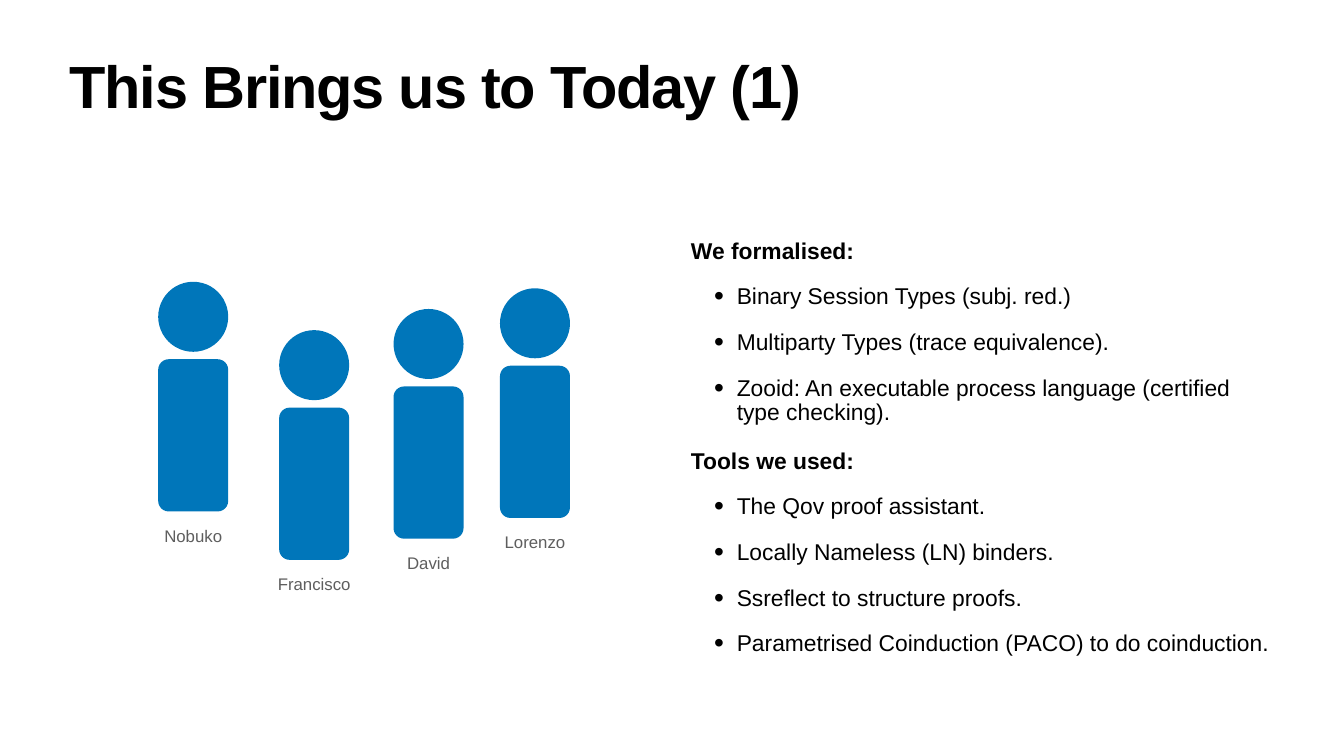
import pptx
import pptx.util
import pptx.dml.color
import pptx.enum.shapes
import pptx.enum.text
import pptx.oxml.ns
import lxml.etree

WIDTH, HEIGHT = pptx.util.Inches(26.67), pptx.util.Inches(15)
FONT = "Arial"
COLOURS = {"text": "000000", "figure": "0076BA", "label": "5E5E5E"}
ANCHOR = pptx.enum.text.MSO_ANCHOR
ALIGN = pptx.enum.text.PP_ALIGN
SHAPE = pptx.enum.shapes.MSO_SHAPE
TITLE_BOX = (4.95, 7.87, 90.1, 10.47)
SUMMARY_BOX = (51.22, 31, 43.83, 60.2)
FIGURE_SIZE = (5.21, 35.33)
PEOPLE = [
    ("Nobuko", 11.77, 37.27),
    ("Francisco", 20.77, 43.67),
    ("David", 29.28, 40.87),
    ("Lorenzo", 37.2, 38.13),
]
SECTIONS = [
    ("We formalised:", [
        "Binary Session Types (subj. red.)",
        "Multiparty Types (trace equivalence).",
        "Zooid: An executable process language (certified type checking).",
    ]),
    ("Tools we used:", [
        "The Qov proof assistant.",
        "Locally Nameless (LN) binders.",
        "Ssreflect to structure proofs.",
        "Parametrised Coinduction (PACO) to do coinduction.",
    ]),
]


def place(box):
    """Turn percentages of the slide into lengths."""
    left, top, width, height = box
    return (int(WIDTH * left / 100), int(HEIGHT * top / 100),
            int(WIDTH * width / 100), int(HEIGHT * height / 100))


def rgb(name):
    """Look up a named colour."""
    return pptx.dml.color.RGBColor.from_string(COLOURS[name])


def format_frame(frame, inset, anchor):
    """Set the wrapping, insets and anchor of a text frame."""
    frame.word_wrap = True
    frame.auto_size = pptx.enum.text.MSO_AUTO_SIZE.NONE
    frame.vertical_anchor = anchor
    frame.margin_left = frame.margin_right = pptx.util.Inches(inset)
    frame.margin_top = frame.margin_bottom = pptx.util.Inches(inset)


def format_para(para, size, colour, align, bold=False):
    """Set the alignment and font of a paragraph."""
    para.alignment = align
    for span in para.runs:
        span.font.name = FONT
        span.font.size = pptx.util.Pt(size)
        span.font.bold = bold
        span.font.color.rgb = rgb(colour)


def indent(para, margin, bullet=False):
    """Give a paragraph a hanging indent and an optional bullet."""
    properties = para._p.get_or_add_pPr()
    properties.set("marL", str(pptx.util.Inches(margin)))
    properties.set("indent", str(pptx.util.Inches(-0.45)))
    if bullet:
        for tag, key, value in [("a:buSzPct", "val", "123000"),
                                ("a:buFont", "typeface", FONT),
                                ("a:buChar", "char", "•")]:
            lxml.etree.SubElement(properties, pptx.oxml.ns.qn(tag)).set(key, value)


def add_title(page, box, text):
    """Place and format the slide title."""
    title = page.shapes.title
    title.left, title.top, title.width, title.height = place(box)
    title.text_frame.text = text
    format_frame(title.text_frame, 0.06, ANCHOR.TOP)
    para = title.text_frame.paragraphs[0]
    para.line_spacing = 0.8
    format_para(para, 85, "text", ALIGN.LEFT, bold=True)
    para.runs[0].font._element.set("spc", "-170")


def add_person(page, box, name):
    """Draw a labelled figure with a round head and a rounded body."""
    left, top, width, height = place(box)
    group = page.shapes.add_group_shape()
    body = group.shapes.add_shape(SHAPE.ROUNDED_RECTANGLE, left, top + int(height * 0.29),
                                  width, int(height * 0.57))
    body.adjustments[0] = 0.15
    head = group.shapes.add_shape(SHAPE.OVAL, left, top, width, width)
    for part in (body, head):
        part.shadow.inherit = False
        part.fill.solid()
        part.fill.fore_color.rgb = rgb("figure")
        part.line.fill.background()
    label = group.shapes.add_textbox(left - int(width * 0.1), top + int(height * 0.9),
                                     int(width * 1.2), int(height * 0.1))
    label.text_frame.text = name
    format_frame(label.text_frame, 0.06, ANCHOR.MIDDLE)
    format_para(label.text_frame.paragraphs[0], 24, "label", ALIGN.CENTER)


def add_summary(page, box, sections):
    """Write bold headings, each followed by a bulleted list."""
    frame = page.shapes.add_textbox(*place(box)).text_frame
    lines = [(text, text == heading) for heading, items in sections
             for text in [heading, *items]]
    frame.text = "\n".join(text for text, _ in lines)
    format_frame(frame, 0.05, ANCHOR.TOP)
    for para, (_, is_heading) in zip(frame.paragraphs, lines):
        format_para(para, 32.6, "text", ALIGN.LEFT, bold=is_heading)
        para.space_before = pptx.util.Pt(30)
        if is_heading:
            indent(para, 0.45)
        else:
            para.level = 1
            para.line_spacing = 0.9
            indent(para, 0.91, bullet=True)


def build():
    """Build and save the deck."""
    deck = pptx.Presentation()
    deck.slide_width, deck.slide_height = WIDTH, HEIGHT
    page = deck.slides.add_slide(deck.slide_layouts.get_by_name("Title Only"))
    add_title(page, TITLE_BOX, "This Brings us to Today (1)")
    for name, left, top in PEOPLE:
        add_person(page, (left, top, *FIGURE_SIZE), name)
    add_summary(page, SUMMARY_BOX, SECTIONS)
    deck.save("out.pptx")


build()
